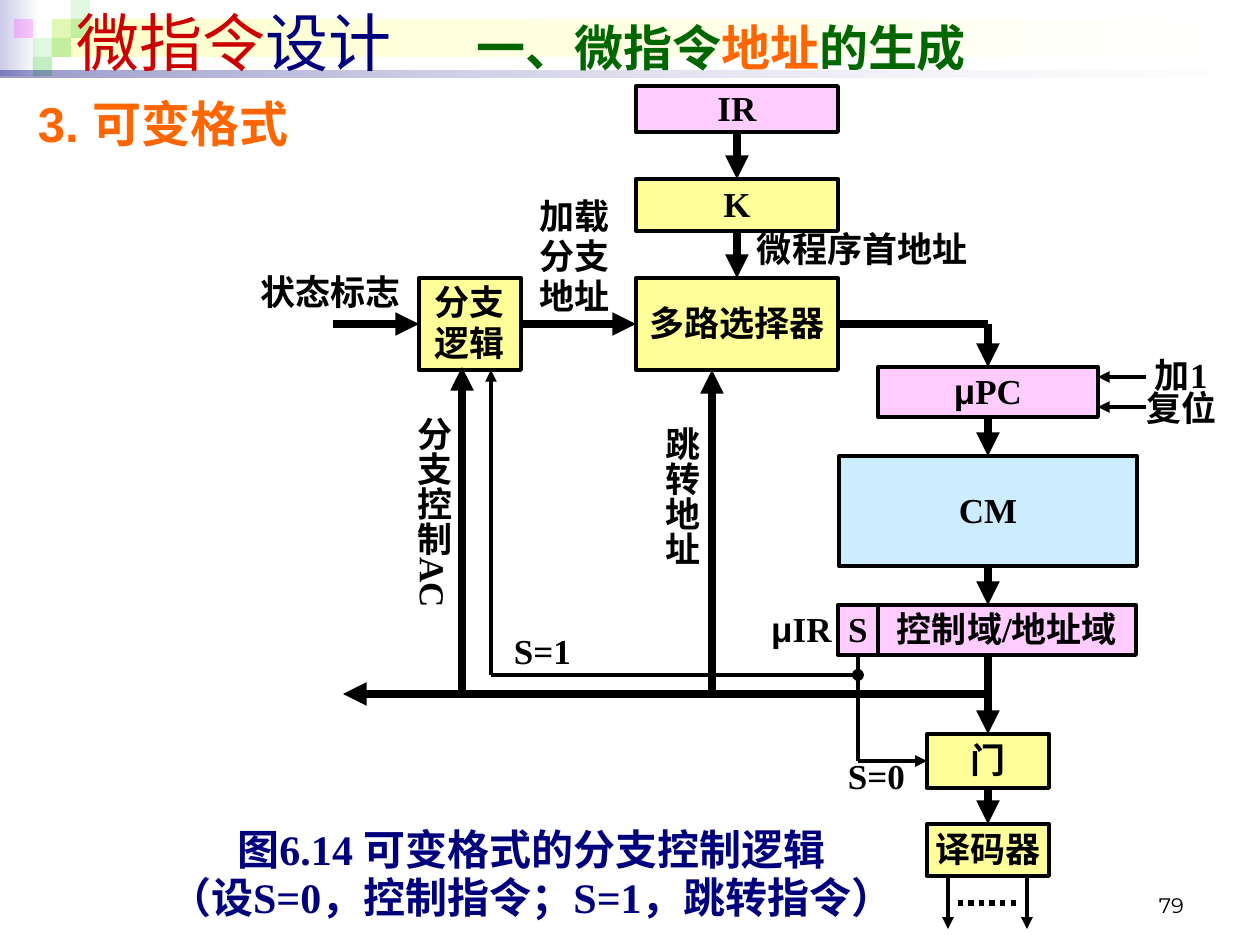
"""Build the slide on variable-format microinstruction address generation."""
from lxml.etree import SubElement
from pptx import Presentation
from pptx.dml.color import RGBColor as RGB
from pptx.enum.dml import MSO_LINE as Dash
from pptx.enum.shapes import MSO_CONNECTOR as Link, MSO_SHAPE as Kind
from pptx.enum.text import MSO_ANCHOR as Anchor, PP_ALIGN as Align
from pptx.oxml.ns import qn
from pptx.util import Pt

PX = 7257
COLORS = {
    "black": "000000", "white": "FFFFFF", "navy": "00007D", "red": "CC0000",
    "green": "006600", "orange": "FF6600", "yellow": "FFFF99", "pink": "FFCCFF",
    "sky": "CCECFF", "cream": "FFFFCC", "lilac": "CCCCE6", "leaf": "33CC33",
    "magenta": "FF00FF",
}
COLORS = {name: RGB.from_string(code) for name, code in COLORS.items()}

deck = Presentation()
deck.slide_width, deck.slide_height = 1260 * PX, 945 * PX
slide = deck.slides.add_slide(deck.slide_layouts[5])
shapes = slide.shapes


def label(shape, text, size=20, color="black", align=Align.CENTER, wrap=False,
          font="Times New Roman", bold=True):
    frame = shape.text_frame
    frame.word_wrap = wrap
    frame.vertical_anchor = Anchor.MIDDLE
    frame.margin_left = frame.margin_right = frame.margin_top = frame.margin_bottom = 0
    line = frame.paragraphs[0]
    line.alignment, line.line_spacing = align, 0.96
    line.font.name, line.font.size, line.font.bold = font, Pt(size), bold
    line.font.color.rgb = COLORS[color]
    if text.startswith("μ"):
        line.add_run().text = "μ"
        line.runs[0].font.name = "Arial"
        line.add_run().text = text[1:]
    else:
        line.text = text
    return frame


def join(start, end, width=4.5, arrow=True):
    link = shapes.add_connector(Link.STRAIGHT, 0, 0, 0, 0)
    if isinstance(start[0], str):
        link.begin_connect(boxes[start[0]], start[1])
    else:
        link.begin_x, link.begin_y = start[0] * PX, start[1] * PX
    if isinstance(end[0], str):
        link.end_connect(boxes[end[0]], end[1])
    else:
        link.end_x, link.end_y = end[0] * PX, end[1] * PX
    link.line.color.rgb, link.line.width = COLORS["black"], Pt(width)
    if arrow:
        SubElement(link.line._get_or_add_ln(), qn("a:tailEnd"), type="triangle")
    SubElement(link._element.spPr, qn("a:effectLst"))
    return link


bands = [
    (0, 0, 39, 76, "lilac", None),
    (52, 19, 1203, 38, "cream", None),
    (0, 71, 1260, 7, "navy", (10, 40)),
]
squares = [
    (2, 1, "leaf", 15), (3, 0, "leaf", 15), (3, 1, "leaf", 30), (1, 2, "leaf", 15),
    (0, 1, "magenta", 20), (2, 2, "leaf", 30), (1, 3, "leaf", 30),
]
tiles = [(14 + 19 * col, 19 * row, 19, 19, color, alpha) for col, row, color, alpha in squares]
for left, top, width, height, color, alpha in bands[:2] + tiles + bands[2:]:
    tile = shapes.add_shape(Kind.RECTANGLE, left * PX, top * PX, width * PX, height * PX)
    tile.shadow.inherit = False
    tile.line.fill.background()
    if (left, top, width, height, color, alpha) in bands:
        tile.fill.gradient()
        tile.fill.gradient_angle = 180
        for stop, tone in zip(tile.fill.gradient_stops, ("white", color)):
            stop.color.rgb = COLORS[tone]
        alphas = alpha or ()
    else:
        tile.fill.solid()
        tile.fill.fore_color.rgb = COLORS[color]
        alphas = (alpha,)
    for tone, percent in zip(tile._element.spPr.iter(qn("a:srgbClr")), alphas):
        SubElement(tone, qn("a:alpha"), val=str(percent * 1000))

title = shapes.title
title.element.getparent().append(title.element)
title.left, title.top, title.width, title.height = 64 * PX, -4 * PX, 1181 * PX, 90 * PX
title.text_frame.vertical_anchor = Anchor.MIDDLE
heading = title.text_frame.paragraphs[0]
heading.alignment = Align.LEFT
tabs = SubElement(heading._p.get_or_add_pPr(), qn("a:tabLst"))
SubElement(tabs, qn("a:tab"), pos=str(400 * PX), algn="l")
heading.font.name = "Arial"
for words, size, color, bold in [
    ("微指令", 36, "red", False), ("设计\t", 36, "navy", False),
    ("一、微指令", 28, "green", True), ("地址", 28, "orange", True),
    ("的生成", 28, "green", True),
]:
    run = heading.add_run()
    run.text = words
    run.font.size, run.font.bold = Pt(size), bold
    run.font.color.rgb = COLORS[color]

caption = shapes.add_shape(Kind.RECTANGLE, 164 * PX, 820 * PX, 735 * PX, 110 * PX)
caption.shadow.inherit = False
caption.fill.solid()
caption.fill.fore_color.rgb = COLORS["white"]
caption.line.fill.background()
label(caption, "图6.14 可变格式的分支控制逻辑\n（设S=0，控制指令；S=1，跳转指令）", 24, "navy")

boxes = {}
for text, left, top, width, height, color in [
    ("IR", 636, 86, 202, 46, "pink"),
    ("K", 636, 179, 202, 52, "yellow"),
    ("多路选择器", 636, 278, 202, 92, "yellow"),
    ("分支逻辑", 419, 278, 102, 92, "yellow"),
    ("μPC", 878, 367, 220, 50, "pink"),
    ("CM", 839, 456, 298, 110, "sky"),
    ("控制域/地址域", 878, 605, 258, 50, "pink"),
    ("S", 838, 605, 40, 50, "pink"),
    ("门", 927, 734, 122, 54, "yellow"),
    ("译码器", 927, 824, 122, 52, "yellow"),
]:
    box = shapes.add_shape(Kind.RECTANGLE, left * PX, top * PX, width * PX, height * PX)
    box.shadow.inherit = False
    box.fill.solid()
    box.fill.fore_color.rgb = COLORS[color]
    box.line.color.rgb, box.line.width = COLORS["black"], Pt(2.25)
    label(box, text, wrap=text == "分支逻辑")
    boxes[text] = box

for start, end in [
    (("IR", 2), ("K", 0)), (("K", 2), ("多路选择器", 0)),
    ((333, 324), ("分支逻辑", 1)), (("分支逻辑", 3), ("多路选择器", 1)),
    ((988, 324), ("μPC", 0)), (("μPC", 2), ("CM", 0)), (("CM", 2), (988, 605)),
    ((988, 655), ("门", 0)), (("门", 2), ("译码器", 0)),
    ((988, 694), (343, 694)), ((712, 694), (712, 370)), ((462, 694), (462, 367)),
]:
    join(start, end)
join(("多路选择器", 3), (988, 324), arrow=False)

for start, end, arrow in [
    (("S", 2), (858, 761), False), ((858, 761), ("门", 1), True),
    ((858, 675), (491, 675), False), ((491, 675), (491, 370), True),
    ((1146, 377), (1098, 377), True), ((1146, 407), (1098, 407), True),
    ((948, 876), (948, 929), True), ((1027, 876), (1027, 929), True),
]:
    join(start, end, 2.25, arrow)
outputs = join((958, 903), (1020, 903), 3, False)
outputs.line.dash_style = Dash.ROUND_DOT

junction = shapes.add_shape(Kind.OVAL, 852 * PX, 669 * PX, 12 * PX, 12 * PX)
junction.shadow.inherit = False
junction.fill.solid()
junction.fill.fore_color.rgb = COLORS["black"]
junction.line.fill.background()

for text, left, top, width, height, align in [
    ("S=1", 485, 635, 115, 35, Align.CENTER),
    ("S=0", 819, 760, 115, 35, Align.CENTER),
    ("μIR", 760, 605, 83, 50, Align.CENTER),
    ("状态标志", 253, 268, 155, 50, Align.CENTER),
    ("加载\n分支\n地址", 538, 197, 73, 121, Align.CENTER),
    ("微程序首地址", 757, 228, 261, 44, Align.LEFT),
    ("加1", 1155, 354, 89, 44, Align.LEFT),
    ("复位", 1147, 387, 89, 44, Align.LEFT),
    ("跳转地址", 660, 427, 40, 173, Align.CENTER),
    ("分支控制AC", 412, 417, 40, 228, Align.CENTER),
]:
    note = shapes.add_textbox(left * PX, top * PX, width * PX, height * PX)
    upright = width == 40
    frame = label(note, text, align=align, wrap=upright)
    if upright:
        frame._txBody.bodyPr.set("vert", "eaVert")

topic = shapes.add_textbox(25 * PX, 86 * PX, 1211 * PX, 79 * PX)
label(topic, "3. 可变格式", 28, "orange", Align.LEFT, True, "Arial").margin_left = 13 * PX

page = shapes.add_textbox(903 * PX, 861 * PX, 294 * PX, 63 * PX)
footer = label(page, "79", 12, align=Align.RIGHT, wrap=True, font="Montserrat", bold=False)
footer.vertical_anchor = Anchor.BOTTOM
footer.margin_right, footer.margin_bottom = 13 * PX, 6 * PX

deck.save("out.pptx")
